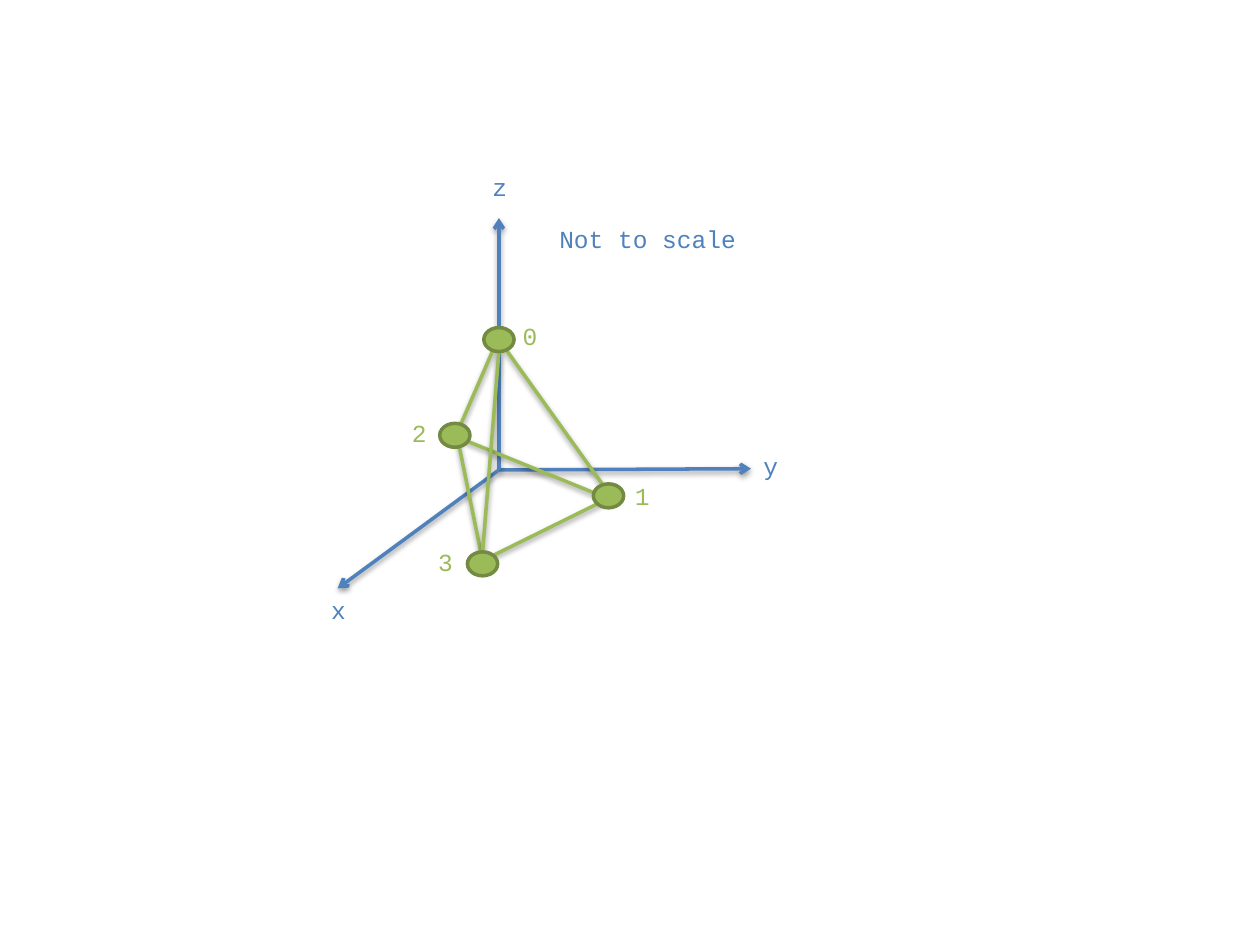
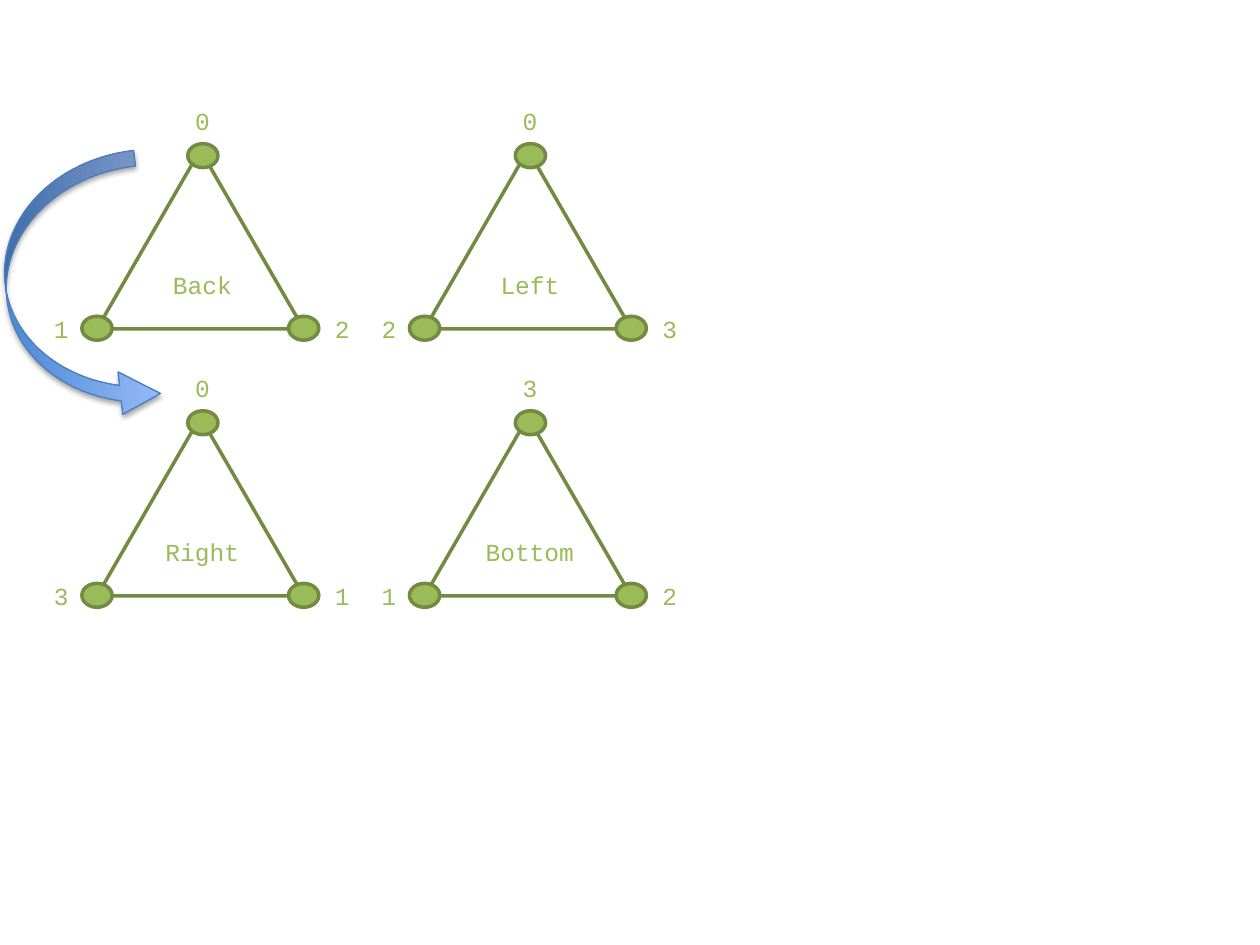
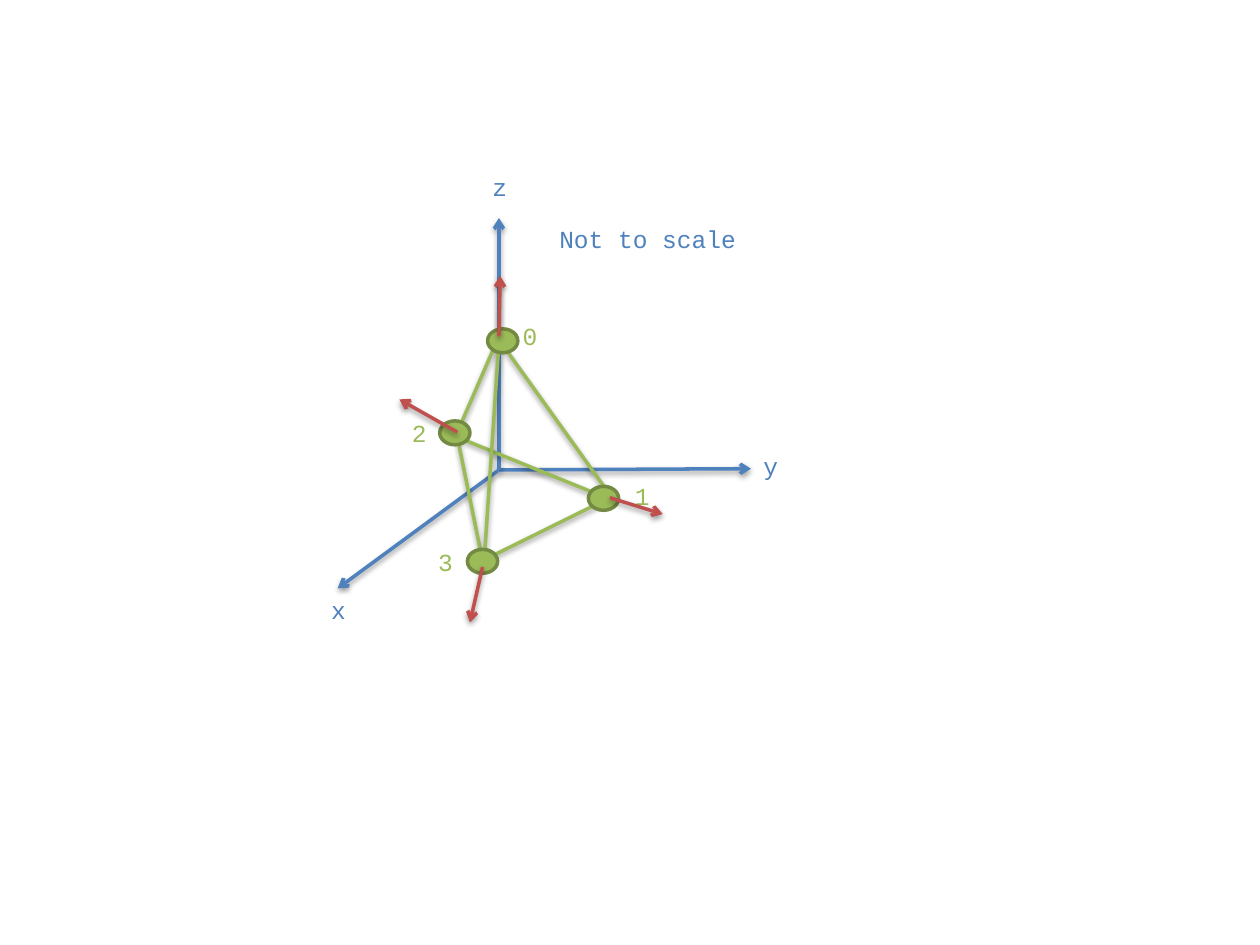
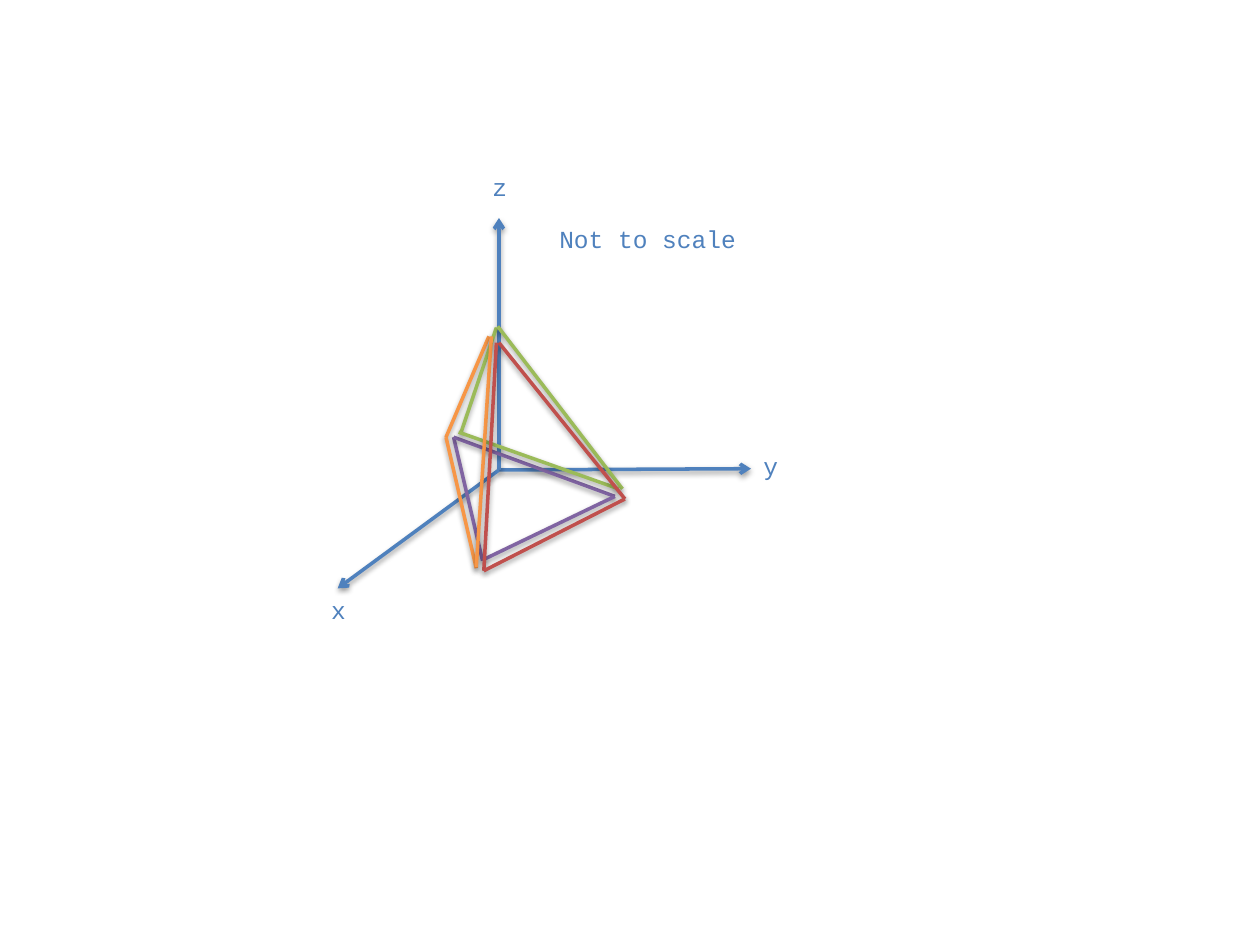
"""Build four slides that explain the vertices, faces and normals of a tetrahedron."""
from dataclasses import dataclass
from typing import Any, NamedTuple

from lxml.etree import SubElement
from pptx import Presentation
from pptx.dml.color import RGBColor
from pptx.enum.shapes import MSO_CONNECTOR, MSO_SHAPE
from pptx.enum.text import MSO_AUTO_SIZE
from pptx.oxml.ns import qn
from pptx.util import Emu, Inches, Pt

WIDTH, HEIGHT = Inches(10), Inches(7.5)
COLUMNS = 100
CELL = WIDTH / COLUMNS
BLUE, GREEN, DARK_GREEN = "4F81BD", "9BBB59", "738A42"
RED, PURPLE, ORANGE = "C0504D", "8064A2", "F79646"
FONT = {"name": "Courier New", "size": Pt(14)}
FRAME = {"word_wrap": False, "auto_size": MSO_AUTO_SIZE.SHAPE_TO_FIT_TEXT}
LINE_WIDTH = 2
NODE_WIDTH, NODE_HEIGHT = 2.4, 1.9
LABEL_HEIGHT, LABEL_PADDING, CHAR_WIDTH = 3.4, 2, 1.18
BLANK_LAYOUT = 6


class Point(NamedTuple):
    """A place on the square grid, in cells."""
    x: float
    y: float

    def shifted(self, dx: float, dy: float) -> "Point":
        """Return the place moved by dx columns and dy rows."""
        return Point(self.x + dx, self.y + dy)


@dataclass(frozen=True)
class Stroke:
    """A straight line, with or without an arrowhead at its end."""
    start: Point
    end: Point
    color: str
    arrow: bool = False


@dataclass(frozen=True)
class Label:
    """A short text and the top left corner of its box."""
    text: str
    at: Point
    color: str


@dataclass(frozen=True)
class Face:
    """A face of the tetrahedron and its apex, left and right vertices."""
    name: str
    vertices: str
    column: int
    row: int


AXES = [
    Stroke(Point(39.6, 37.3), end, BLUE, True)
    for end in (Point(59.6, 37.2), Point(39.6, 17.3), Point(26.8, 46.7))
]
AXIS_LABELS = [
    Label("x", Point(25.3, 46.7), BLUE),
    Label("y", Point(59.6, 35.3), BLUE),
    Label("z", Point(38.1, 13.2), BLUE),
    Label("Not to scale", Point(43.4, 17.3), BLUE),
]
EDGES = [
    Stroke(Point(36.3, 34.7), Point(38.3, 44.5), GREEN),
    Stroke(Point(38.1, 44.6), Point(48.4, 39.5), GREEN),
    Stroke(Point(36.3, 34.7), Point(48.1, 39.5), GREEN),
    Stroke(Point(39.7, 27.1), Point(48.5, 39.4), GREEN),
    Stroke(Point(39.6, 26.7), Point(36.3, 34.3), GREEN),
]
VERTEX_LABELS = [
    Label("0", Point(40.5, 25), GREEN),
    Label("1", Point(49.4, 37.7), GREEN),
    Label("3", Point(33.8, 42.9), GREEN),
    Label("2", Point(31.7, 32.7), GREEN),
]
NORMALS = [
    Stroke(Point(48.4, 39.5), Point(52.6, 40.8), RED, True),
    Stroke(Point(39.6, 26.7), Point(39.7, 21.9), RED, True),
    Stroke(Point(38.3, 45), Point(37.3, 49.4), RED, True),
    Stroke(Point(36.3, 34.3), Point(31.7, 31.7), RED, True),
]
FACE_EDGES = [
    Stroke(Point(36, 34.7), Point(38.3, 44.5), PURPLE),
    Stroke(Point(36, 34.7), Point(48.8, 39.4), PURPLE),
    Stroke(Point(38.8, 26.7), Point(35.4, 34.7), ORANGE),
    Stroke(Point(39.4, 26), Point(36.6, 34.3), GREEN),
    Stroke(Point(35.4, 34.7), Point(37.8, 45.1), ORANGE),
    Stroke(Point(39.5, 25.9), Point(49.4, 38.8), GREEN),
    Stroke(Point(36.4, 34.3), Point(49.1, 38.8), GREEN),
    Stroke(Point(38.4, 44.4), Point(48.8, 39.4), PURPLE),
    Stroke(Point(39, 26.7), Point(37.8, 45), ORANGE),
    Stroke(Point(39.6, 27.2), Point(49.6, 39.6), RED),
    Stroke(Point(39.4, 27.2), Point(38.4, 45.3), RED),
    Stroke(Point(38.4, 45.3), Point(49.6, 39.6), RED),
]
FACES = [
    Face("Back", "012", 0, 0),
    Face("Left", "023", 1, 0),
    Face("Right", "031", 0, 1),
    Face("Bottom", "312", 1, 1),
]
FACE_ORIGIN, FACE_PITCH = Point(7.7, 11.9), Point(26, 21.2)
FACE_WIDTH, FACE_HEIGHT = 16.4, 14.2
FACE_MIDDLE, FACE_NAME_TOP = 8.4, 9
CORNERS = [Point(7.2, -0.5), Point(-1.2, 13.2), Point(15.2, 13.2)]
CORNER_LABELS = [Point(6.8, -4), Point(-4.4, 12.5), Point(17.9, 12.5)]


def cells(*counts: float) -> list[Emu]:
    """Turn grid cells into lengths."""
    return [Emu(round(count * CELL)) for count in counts]


def rgb(color: str) -> RGBColor:
    """Turn a hex string into a colour."""
    return RGBColor.from_string(color)


def assign(target: Any, values: dict[str, Any]) -> None:
    """Set each named attribute on the target."""
    for name, value in values.items():
        setattr(target, name, value)


def set_line(shape: Any, color: str, width: float = LINE_WIDTH) -> None:
    """Give a shape or connector a solid line."""
    shape.line.color.rgb = rgb(color)
    shape.line.width = Pt(width)


def cast_shadow(shape: Any, opacity: int, distance: int) -> None:
    """Put a soft black shadow below a shape."""
    effects = SubElement(shape.element.spPr, qn("a:effectLst"))
    shadow = SubElement(effects, qn("a:outerShdw"), {
        "blurRad": "40000", "dist": str(distance), "dir": "5400000", "rotWithShape": "0"})
    color = SubElement(shadow, qn("a:srgbClr"), val="000000")
    SubElement(color, qn("a:alpha"), val=str(opacity * 1000))


def draw_stroke(shapes: Any, stroke: Stroke) -> None:
    """Draw a shadowed line or arrow."""
    s = shapes.add_connector(MSO_CONNECTOR.STRAIGHT, *cells(*stroke.start, *stroke.end))
    set_line(s, stroke.color)
    if stroke.arrow:
        SubElement(s.element.spPr.find(qn("a:ln")), qn("a:tailEnd"), type="arrow")
    cast_shadow(s, 38, 20000)


def label_width(text: str) -> float:
    """Return the width of a label's box, in cells."""
    return LABEL_PADDING + CHAR_WIDTH * len(text)


def draw_label(shapes: Any, label: Label) -> None:
    """Draw a label as a text box that fits its text."""
    s = shapes.add_textbox(*cells(*label.at, label_width(label.text), LABEL_HEIGHT))
    tf = s.text_frame
    assign(tf, FRAME)
    r = tf.paragraphs[0].add_run()
    r.text = label.text
    assign(r.font, FONT)
    r.font.color.rgb = rgb(label.color)


def draw_node(shapes: Any, at: Point) -> None:
    """Draw the green ellipse of a vertex."""
    s = shapes.add_shape(MSO_SHAPE.OVAL, *cells(*at, NODE_WIDTH, NODE_HEIGHT))
    s.shadow.inherit = False
    s.fill.solid()
    s.fill.fore_color.rgb = rgb(GREEN)
    set_line(s, DARK_GREEN)


def draw_axes(shapes: Any) -> None:
    """Draw the three axes with their labels and the scale remark."""
    for axis in AXES:
        draw_stroke(shapes, axis)
    for label in AXIS_LABELS:
        draw_label(shapes, label)


def draw_tetrahedron(shapes: Any, height_edge: Stroke, nodes: list[Point]) -> None:
    """Draw the axes and the tetrahedron with numbered vertices."""
    draw_axes(shapes)
    for edge in [*EDGES, height_edge]:
        draw_stroke(shapes, edge)
    for node in nodes:
        draw_node(shapes, node)
    for label in VERTEX_LABELS:
        draw_label(shapes, label)


def face_origin(face: Face) -> Point:
    """Return the top left corner of a face's triangle."""
    return FACE_ORIGIN.shifted(face.column * FACE_PITCH.x, face.row * FACE_PITCH.y)


def draw_face(shapes: Any, face: Face) -> None:
    """Draw a face as a group of triangle, nodes and vertex numbers."""
    origin = face_origin(face)
    group = shapes.add_group_shape().shapes
    triangle = group.add_shape(
        MSO_SHAPE.ISOSCELES_TRIANGLE, *cells(*origin, FACE_WIDTH, FACE_HEIGHT))
    triangle.shadow.inherit = False
    triangle.fill.background()
    set_line(triangle, DARK_GREEN)
    for vertex, corner, place in zip(face.vertices, CORNERS, CORNER_LABELS):
        draw_node(group, origin.shifted(*corner))
        draw_label(group, Label(vertex, origin.shifted(*place), GREEN))


def draw_face_name(shapes: Any, face: Face) -> None:
    """Centre the name of a face inside its triangle."""
    left = FACE_MIDDLE - label_width(face.name) / 2
    at = face_origin(face).shifted(left, FACE_NAME_TOP)
    draw_label(shapes, Label(face.name, at, GREEN))


def draw_winding_arrow(shapes: Any) -> None:
    """Draw the curved arrow that shows the winding order."""
    s = shapes.add_shape(MSO_SHAPE.CURVED_UP_ARROW, *cells(-4.4, 17.4, 21.1, 11.3))
    s.rotation = 83.7
    for index, value in enumerate((0.11, 0.3, 0.28)):
        s.adjustments[index] = value
    s.fill.gradient()
    s.fill.gradient_angle = 90
    for stop, color in zip(s.fill.gradient_stops, ("3F80CE", "A4C4FF")):
        stop.color.rgb = rgb(color)
    set_line(s, "4B7EBC", 0.75)
    cast_shadow(s, 35, 23000)


def main() -> None:
    """Build and save the four slides."""
    prs = Presentation()
    assign(prs, {"slide_width": WIDTH, "slide_height": HEIGHT})
    layout = prs.slide_layouts[BLANK_LAYOUT]
    vertices, faces, normals, surfaces = (
        prs.slides.add_slide(layout).shapes for _ in range(4))

    draw_tetrahedron(
        vertices, Stroke(Point(39.6, 27.9), Point(38.3, 43.8), GREEN),
        [Point(38.4, 26), Point(37.1, 43.8), Point(47.1, 38.4), Point(34.9, 33.6)])

    for face in FACES:
        draw_face(faces, face)
    for face in FACES:
        draw_face_name(faces, face)
    draw_winding_arrow(faces)

    draw_tetrahedron(
        normals, Stroke(Point(39.6, 27.2), Point(38.4, 44.9), GREEN),
        [Point(38.7, 26.1), Point(37.1, 43.6), Point(46.7, 38.6), Point(34.9, 33.4)])
    for normal in NORMALS:
        draw_stroke(normals, normal)

    draw_axes(surfaces)
    for edge in FACE_EDGES:
        draw_stroke(surfaces, edge)

    prs.save("out.pptx")


if __name__ == "__main__":
    main()
